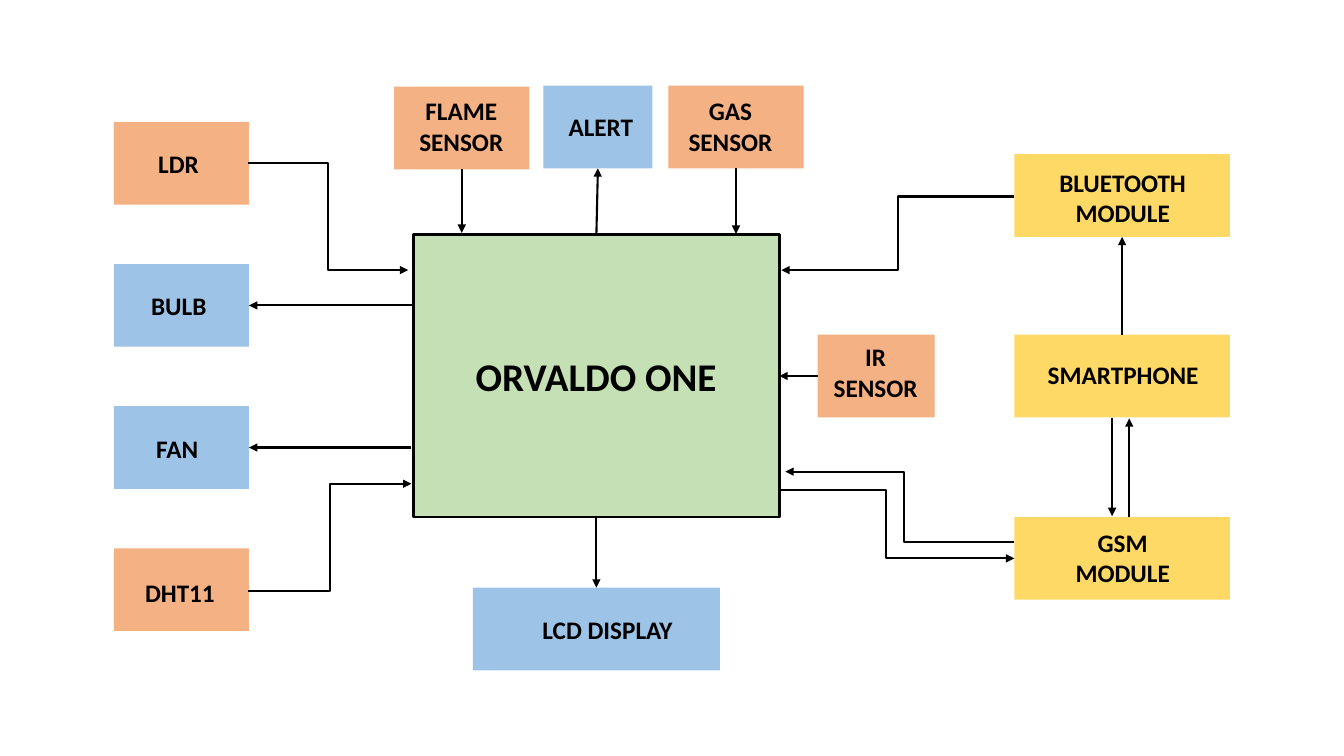
from lxml import etree
from pptx import Presentation
from pptx.dml.color import RGBColor
from pptx.enum.shapes import MSO_CONNECTOR, MSO_SHAPE
from pptx.enum.text import MSO_AUTO_SIZE, PP_ALIGN
from pptx.oxml.ns import qn
from pptx.util import Inches, Pt

RECTANGLE = MSO_SHAPE.RECTANGLE
STRAIGHT, ELBOW = MSO_CONNECTOR.STRAIGHT, MSO_CONNECTOR.ELBOW
LEFT, CENTER = PP_ALIGN.LEFT, PP_ALIGN.CENTER
FIT_TEXT = MSO_AUTO_SIZE.SHAPE_TO_FIT_TEXT
TOP_SIDE, LEFT_SIDE, BOTTOM_SIDE, RIGHT_SIDE = range(4)

COLORS = {
    "controller": "C5E0B4",
    "sensor": "F4B183",
    "output": "9DC3E6",
    "phone": "FFD966",
    "ink": "000000",
}
LABEL_FONT = {"name": "Calibri", "size": Pt(18), "bold": True}
TITLE_FONT = {**LABEL_FONT, "size": Pt(28)}

BOX_HEIGHT = 0.82
SMALL_WIDTH, PHONE_WIDTH = 1.34, 2.14
LEFT_COLUMN, PHONE_COLUMN = 1.13, 10.06
LEFT_TOP, LEFT_PITCH = 1.21, 1.41

# Name: (role, left, top, width)
BOXES = {
    "smartphone": ("phone", PHONE_COLUMN, 3.32, PHONE_WIDTH),
    "bluetooth": ("phone", PHONE_COLUMN, 1.53, PHONE_WIDTH),
    "gsm": ("phone", PHONE_COLUMN, 5.13, PHONE_WIDTH),
    "flame": ("sensor", 3.91, 0.86, SMALL_WIDTH),
    "gas": ("sensor", 6.63, 0.85, SMALL_WIDTH),
    "alert": ("output", 5.39, 0.85, 1.08),
    "ir": ("sensor", 8.11, 3.32, 1.16),
    "lcd": ("output", 4.69, 5.83, 2.45),
}
LEFT_BOXES = [("ldr", "sensor"), ("bulb", "output"),
              ("fan", "output"), ("dht11", "sensor")]

# Lines of text, left, top, width, alignment
LABELS = [
    (["LDR"], 1.47, 1.42, 0.62, LEFT),
    (["BULB"], 1.4, 2.83, 0.78, LEFT),
    (["FAN"], 1.45, 4.25, 0.68, LEFT),
    (["DHT11"], 1.34, 5.68, 0.9, LEFT),
    (["FLAME", "SENSOR"], 4.05, 0.9, 1.05, CENTER),
    (["GAS", "SENSOR"], 6.72, 0.9, 1.05, CENTER),
    (["ALERT"], 5.54, 1.06, 0.95, LEFT),
    (["IR", "SENSOR"], 8.16, 3.34, 1.05, CENTER),
    (["BLUETOOTH", "MODULE"], 10.38, 1.61, 1.51, CENTER),
    (["GSM", "MODULE"], 10.38, 5.18, 1.51, CENTER),
    (["SMARTPHONE"], 10.24, 3.52, 1.8, CENTER),
    (["LCD DISPLAY"], 5.27, 6.04, 1.51, CENTER),
]

# Each end is a point, or a point with the box and side it joins
STRAIGHT_ARROWS = [
    ((4.1, 3.03), (2.47, 3.03, "bulb", RIGHT_SIDE)),
    ((4.08, 4.44), (2.47, 4.44, "fan", RIGHT_SIDE)),
    ((4.58, 1.68, "flame", BOTTOM_SIDE), (4.58, 2.31)),
    ((7.3, 1.67, "gas", BOTTOM_SIDE), (7.3, 2.32)),
    ((5.92, 2.33, "controller", TOP_SIDE), (5.93, 1.67, "alert", BOTTOM_SIDE)),
    ((8.11, 3.73, "ir", LEFT_SIDE), (7.73, 3.73, "controller", RIGHT_SIDE)),
    ((5.92, 5.13, "controller", BOTTOM_SIDE), (5.92, 5.83, "lcd", TOP_SIDE)),
    ((11.13, 3.32, "smartphone", TOP_SIDE),
     (11.13, 2.35, "bluetooth", BOTTOM_SIDE)),
    ((11.2, 5.13), (11.2, 4.15)),
    ((11.03, 4.15), (11.03, 5.12)),
]
# Begin, end, share of the width at which the line bends
BENT_ARROWS = [
    ((2.46, 1.62), (4.05, 2.68), 0.5),
    ((2.46, 5.86), (4.08, 4.8), 0.5),
    ((10.06, 1.95), (7.75, 2.68), 0.5),
    ((10.06, 5.38), (7.79, 4.68), 0.48),
    ((7.75, 4.86), (10.06, 5.54), 0.45),
]


def color(name):
    return RGBColor.from_string(COLORS[name])


def add_box(slide, role, left, top, width, height=BOX_HEIGHT, border=None):
    shape = slide.shapes.add_shape(
        RECTANGLE, Inches(left), Inches(top), Inches(width), Inches(height))
    shape.shadow.inherit = False
    shape.fill.solid()
    shape.fill.fore_color.rgb = color(role)
    if border:
        shape.line.color.rgb = color("ink")
        shape.line.width = Pt(border)
    else:
        shape.line.fill.background()
    return shape


def add_label(slide, lines, left, top, width, alignment, font=LABEL_FONT):
    height = len(lines) * font["size"].inches * 1.22 + 0.1
    frame = slide.shapes.add_textbox(
        Inches(left), Inches(top), Inches(width), Inches(height)).text_frame
    frame.word_wrap = False
    frame.auto_size = FIT_TEXT
    frame.text = "\n".join(lines)
    for paragraph in frame.paragraphs:
        paragraph.alignment = alignment
        run_font = paragraph.runs[0].font
        for attribute, value in font.items():
            setattr(run_font, attribute, value)
        run_font.color.rgb = color("ink")


def add_arrow(slide, kind, begin, end):
    points = [Inches(value) for value in (*begin[:2], *end[:2])]
    connector = slide.shapes.add_connector(kind, *points)
    connector.line.color.rgb = color("ink")
    connector.line.width = Pt(1.5)
    properties = connector._element.spPr
    etree.SubElement(properties.find(qn("a:ln")), qn("a:tailEnd"),
                     type="triangle")
    etree.SubElement(properties, qn("a:effectLst"))
    return connector


def add_straight_arrow(slide, boxes, begin, end):
    connector = add_arrow(slide, STRAIGHT, begin, end)
    for point, join in ((begin, connector.begin_connect),
                        (end, connector.end_connect)):
        if len(point) > 2:
            join(boxes[point[2]], point[3])


def add_bent_arrow(slide, begin, end, bend):
    connector = add_arrow(slide, ELBOW, begin, end)
    adjustments = next(connector._element.iter(qn("a:avLst")))
    etree.SubElement(adjustments, qn("a:gd"), name="adj1",
                     fmla=f"val {round(bend * 100000)}")


def main():
    presentation = Presentation()
    presentation.slide_width = Inches(13.33)
    presentation.slide_height = Inches(7.5)
    slide = presentation.slides.add_slide(presentation.slide_layouts[6])

    # Controller
    boxes = {"controller": add_box(slide, "controller",
                                   4.1, 2.33, 3.63, 2.8, 2)}
    add_label(slide, ["ORVALDO ONE"], 4.62, 3.45, 2.73, LEFT, TITLE_FONT)

    # Surrounding modules
    for name, place in BOXES.items():
        boxes[name] = add_box(slide, *place)
    for row, (name, role) in enumerate(LEFT_BOXES):
        boxes[name] = add_box(slide, role, LEFT_COLUMN,
                              LEFT_TOP + row * LEFT_PITCH, SMALL_WIDTH)
    for label in LABELS:
        add_label(slide, *label)

    # Signal paths
    for begin, end in STRAIGHT_ARROWS:
        add_straight_arrow(slide, boxes, begin, end)
    for begin, end, bend in BENT_ARROWS:
        add_bent_arrow(slide, begin, end, bend)

    presentation.save("out.pptx")


if __name__ == "__main__":
    main()
